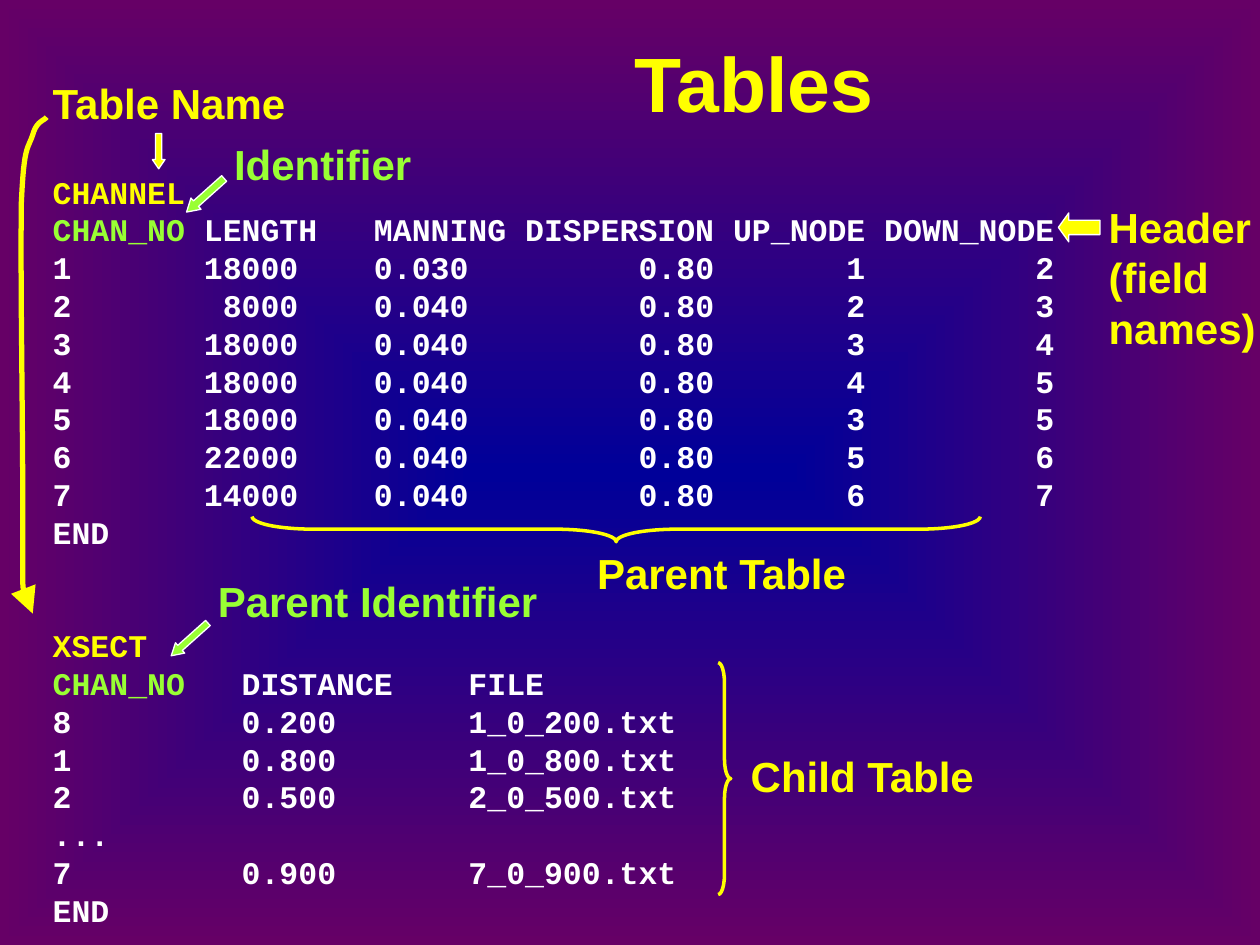
from dataclasses import dataclass

from lxml import etree
from pptx import Presentation, util as u
from pptx.dml.color import RGBColor
from pptx.enum import shapes, text
from pptx.oxml.ns import qn


@dataclass(frozen=True)
class Theme:
    """Colours, fonts and type sizes of the slide."""
    yellow: str = "FFFF00"
    green: str = "99FF33"
    white: str = "FFFFFF"
    centre: str = "000099"
    edge: str = "660066"
    label_font: str = "Arial"
    code_font: str = "Courier New"
    title_size: int = 44
    label_size: int = 24
    code_size: int = 18
    leading: float = 1.2


THEME = Theme()
CHARACTER = 0.15  # width of one code character, inches
CHANNEL_ROWS = [
    ("1", "18000", "0.030", "0.80", "1", "2"),
    ("2", "8000", "0.040", "0.80", "2", "3"),
    ("3", "18000", "0.040", "0.80", "3", "4"),
    ("4", "18000", "0.040", "0.80", "4", "5"),
    ("5", "18000", "0.040", "0.80", "3", "5"),
    ("6", "22000", "0.040", "0.80", "5", "6"),
    ("7", "14000", "0.040", "0.80", "6", "7"),
    ("END",),
]
XSECT_ROWS = [
    ("8", "0.200", "1_0_200.txt"),
    ("1", "0.800", "1_0_800.txt"),
    ("2", "0.500", "2_0_500.txt"),
    ("...",),
    ("7", "0.900", "7_0_900.txt"),
    ("END",),
]
# Tab stops: alignment and column, counted in characters
CHANNEL_HEAD_TABS = [("l", 8), ("l", 17), ("r", 35), ("r", 43), ("r", 53)]
CHANNEL_TABS = [("r", 13)] + CHANNEL_HEAD_TABS[1:]
XSECT_TABS = [("l", 10), ("l", 22)]


def rgb(colour):
    """Turn a hex string into a colour."""
    return RGBColor.from_string(colour)


def paint_background(page):
    """Fill the page with a gradient running from the centre to the edges."""
    fill = page.background.fill
    fill.gradient()
    for stop, colour in zip(fill.gradient_stops, (THEME.centre, THEME.edge)):
        stop.color.rgb = rgb(colour)
    gradient = next(page._element.iter(qn("a:gradFill")))
    linear = gradient.find(qn("a:lin"))
    shading = etree.Element(qn("a:path"), {"path": "rect"})
    etree.SubElement(shading, qn("a:fillToRect"),
                     dict.fromkeys("ltrb", "50000"))
    gradient.replace(linear, shading)


def add_box(page, left, top, width, height):
    """Add an empty wrapping text box and return its frame."""
    box = page.shapes.add_textbox(*map(u.Inches, (left, top, width, height)))
    box.text_frame.word_wrap = True
    return box.text_frame


def add_para(frame, first, spans, font, size):
    """Write one paragraph from (words, colour) spans."""
    para = frame.paragraphs[0] if first else frame.add_paragraph()
    para.line_spacing = u.Pt(size * THEME.leading)
    for words, colour in spans:
        span = para.add_run()
        span.text = words
        span.font.name, span.font.size, span.font.bold = font, u.Pt(size), True
        span.font.color.rgb = rgb(colour)
    return para


def add_label(page, place, lines, colour=THEME.yellow):
    """Place a label of one or more lines in its box."""
    frame = add_box(page, *place)
    for number, line in enumerate(lines):
        add_para(frame, number == 0, [(line, colour)],
                 THEME.label_font, THEME.label_size)


def add_title(page, place, words):
    """Place the centred slide title."""
    frame = add_box(page, *place)
    frame.vertical_anchor = text.MSO_ANCHOR.MIDDLE
    para = add_para(frame, True, [(words, THEME.yellow)],
                    THEME.label_font, THEME.title_size)
    para.alignment = text.PP_ALIGN.CENTER


def set_tabs(para, stops):
    """Give a paragraph tab stops measured in characters."""
    tabs = etree.SubElement(para._p.get_or_add_pPr(), qn("a:tabLst"))
    for side, column in stops:
        etree.SubElement(tabs, qn("a:tab"), {
            "pos": str(u.Inches(column * CHARACTER)), "algn": side})


def add_listing(frame, first, name, fields, rows, head_tabs, row_tabs):
    """Write a table listing: its name, its header and its rows."""
    def write(spans, start=False):
        return add_para(frame, start, spans, THEME.code_font, THEME.code_size)

    name_para = write([(name, THEME.yellow)], first)
    if not first:
        name_para.space_before = u.Pt(2 * THEME.code_size * THEME.leading)
    header = "".join("\t" + field for field in fields)
    set_tabs(write([("CHAN_NO", THEME.green), (header, THEME.white)]), head_tabs)
    for row in rows:
        set_tabs(write([("\t".join(row), THEME.white)]), row_tabs)


def add_listings(page, place):
    """Place the parent and child listings in one box."""
    frame = add_box(page, *place)
    add_listing(frame, True, "CHANNEL",
                ("LENGTH", "MANNING", "DISPERSION", "UP_NODE", "DOWN_NODE"),
                CHANNEL_ROWS, CHANNEL_HEAD_TABS, CHANNEL_TABS)
    add_listing(frame, False, "XSECT", ("DISTANCE", "FILE"),
                XSECT_ROWS, XSECT_TABS, XSECT_TABS)


def add_mark(page, kind, place, adjust, line, weight, fill=None, turn=0):
    """Place a brace or block arrow."""
    mark = page.shapes.add_shape(kind, *map(u.Inches, place))
    mark.shadow.inherit = False
    mark.rotation = turn
    for number, value in enumerate(adjust):
        mark.adjustments[number] = value
    mark.line.color.rgb, mark.line.width = rgb(line), u.Pt(weight)
    if fill:
        mark.fill.solid()
        mark.fill.fore_color.rgb = rgb(fill)
    else:
        mark.fill.background()


def add_curved_arrow(page, start, curves, steps=12):
    """Trace Bezier curves from start and end them in an arrowhead."""
    points, here = [], start
    for a, b, end in curves:
        for step in range(1, steps + 1):
            t = step / steps
            s = 1 - t
            points.append(tuple(
                u.Inches(s**3 * p + 3 * s * s * t * q + 3 * s * t * t * r + t**3 * e)
                for p, q, r, e in zip(here, a, b, end)))
        here = end
    builder = page.shapes.build_freeform(*map(u.Inches, start))
    builder.add_line_segments(points, close=False)
    arrow = builder.convert_to_shape()
    arrow.shadow.inherit = False
    arrow.fill.background()
    arrow.line.color.rgb, arrow.line.width = rgb(THEME.yellow), u.Pt(3)
    etree.SubElement(arrow.line._get_or_add_ln(), qn("a:tailEnd"),
                     {"type": "triangle", "w": "lg", "len": "lg"})


def build_page(page):
    """Put all parts of the Tables slide on the page."""
    kinds = shapes.MSO_SHAPE
    paint_background(page)
    add_title(page, (2.44, 0.02, 7.09, 1.25), "Tables")
    add_label(page, (8.7, 1.55, 1.48, 1.3), ["Header", "(field", "names)"])
    add_listings(page, (0.32, 1.32, 8.33, 6.11))
    for place, words, colour in [
        ((5.86, 5.91, 2.28, 0.5), "Child Table", THEME.yellow),
        ((4.64, 4.3, 2.52, 0.5), "Parent Table", THEME.yellow),
        ((0.32, 0.57, 2.26, 0.5), "Table Name", THEME.yellow),
        ((1.76, 1.05, 1.67, 0.5), "Identifier", THEME.green),
        ((1.63, 4.52, 2.79, 0.5), "Parent Identifier", THEME.green),
    ]:
        add_label(page, place, [words], colour)
    for place, bend, turn in [((5.7, 5.26, 0.1, 1.84), 1.57, 0),
                              ((4.79, 1.31, 0.2, 5.78), 2.43, 90)]:
        add_mark(page, kinds.RIGHT_BRACE, place, (bend, 0.5),
                 THEME.yellow, 2, turn=turn)
    for kind, place, head, fill, turn in [
        (kinds.LEFT_ARROW, (8.4, 1.69, 0.33, 0.23), 0.36, THEME.yellow, 0),
        (kinds.DOWN_ARROW, (1.21, 1.06, 0.1, 0.28), 0.73, THEME.yellow, 0),
        (kinds.DOWN_ARROW, (1.57, 1.35, 0.12, 0.4), 0.83, THEME.green, 48.2),
        (kinds.DOWN_ARROW, (1.45, 4.88, 0.11, 0.39), 0.85, THEME.green, 48.2),
    ]:
        add_mark(page, kind, place, (0.5, head), THEME.white, 0.75, fill, turn)
    add_curved_arrow(page, (0.37, 0.93), [
        ((0.35, 0.96), (0.29, 0.96), (0.26, 1.07)),
        ((0.22, 1.19), (0.19, 1.15), (0.17, 1.6)),
        ((0.16, 2.06), (0.18, 3.33), (0.18, 3.82)),
        ((0.18, 4.3), (0.18, 4.36), (0.18, 4.51)),
        ((0.18, 4.66), (0.18, 4.67), (0.2, 4.73)),
        ((0.21, 4.79), (0.25, 4.84), (0.26, 4.87)),
    ])


deck = Presentation()
deck.slide_width, deck.slide_height = u.Inches(10), u.Inches(7.5)
build_page(deck.slides.add_slide(deck.slide_layouts[6]))
deck.save("out.pptx")
